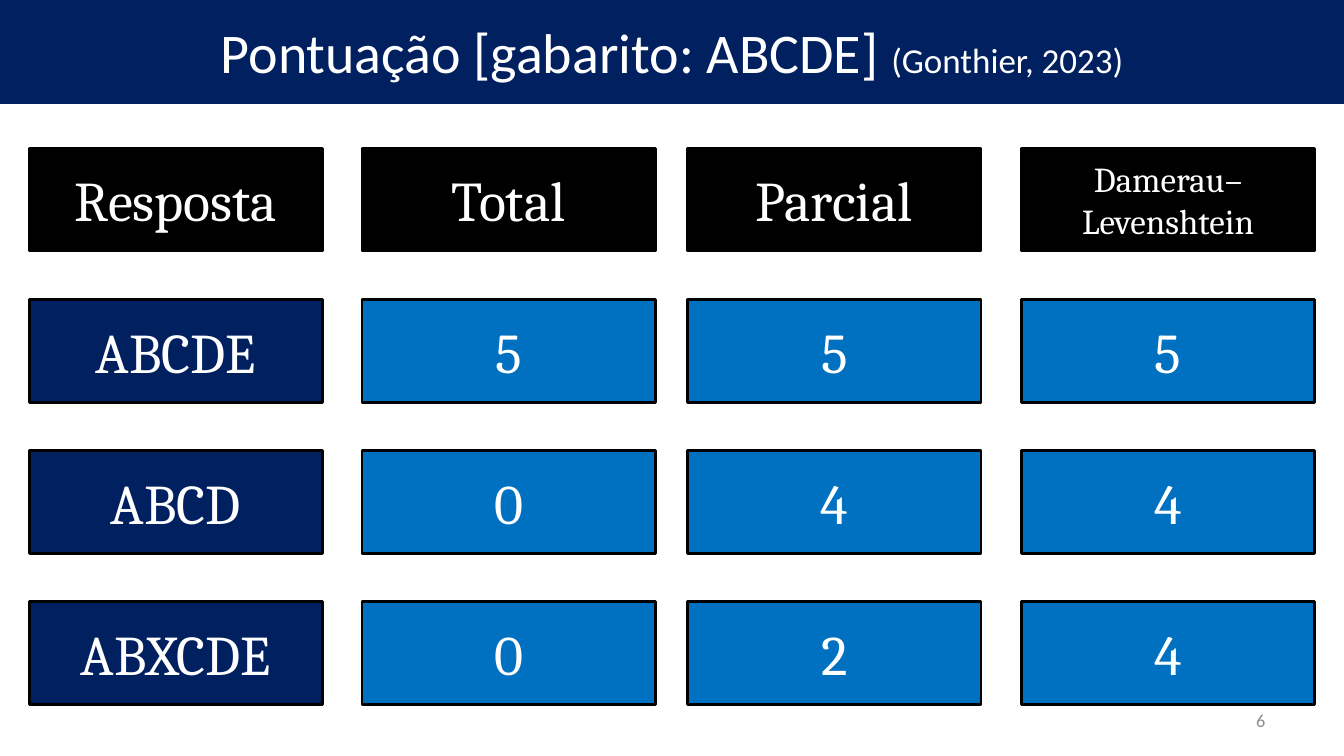
from dataclasses import dataclass

from pptx import Presentation
from pptx.dml.color import RGBColor
from pptx.enum.shapes import MSO_SHAPE
from pptx.enum.text import MSO_ANCHOR, PP_ALIGN
from pptx.util import Inches, Pt


@dataclass(frozen=True)
class Theme:
    navy: str = "002060"
    blue: str = "0070C0"
    black: str = "000000"
    white: str = "FFFFFF"
    gray: str = "8C8C8C"
    heading_font: str = "Calibri"
    card_font: str = "Cambria"
    large: int = 40
    medium: int = 25
    small: int = 13
    border: int = 2


THEME = Theme()
SLIDE_WIDTH, SLIDE_HEIGHT = 13.33, 7.5
COLUMN_LEFTS = (0.29, 3.59, 6.82, 10.13)
FIRST_ROW_TOP, ROW_PITCH = 1.47, 1.5
CARD_WIDTH, BAND_HEIGHT = 2.91, 1.02

HEADERS = ("Resposta", "Total", "Parcial", "Damerau–Levenshtein")
SCORES = (
    ("ABCDE", "5", "5", "5"),
    ("ABCD", "0", "4", "4"),
    ("ABXCDE", "0", "2", "4"),
)


def rgb(color):
    return RGBColor.from_string(color)


def style_paragraph(paragraph, font, size, color, alignment=PP_ALIGN.CENTER):
    paragraph.alignment = alignment
    paragraph.font.name = font
    paragraph.font.size = Pt(size)
    paragraph.font.color.rgb = rgb(color)


def add_block(slide, left, top, width, fill, border):
    """Add a bordered rectangle of band height and return its first paragraph."""
    block = slide.shapes.add_shape(
        MSO_SHAPE.RECTANGLE,
        Inches(left), Inches(top), Inches(width), Inches(BAND_HEIGHT),
    )
    block.shadow.inherit = False
    block.fill.solid()
    block.fill.fore_color.rgb = rgb(fill)
    block.line.color.rgb = rgb(border)
    block.line.width = Pt(THEME.border)
    block.text_frame.word_wrap = True
    block.text_frame.vertical_anchor = MSO_ANCHOR.MIDDLE
    return block.text_frame.paragraphs[0]


def add_title(slide, title, citation):
    heading = add_block(slide, 0, 0, SLIDE_WIDTH, THEME.navy, THEME.navy)
    style_paragraph(heading, THEME.heading_font, THEME.large, THEME.white)
    heading.add_run().text = title
    source = heading.add_run()
    source.text = citation
    source.font.size = Pt(THEME.medium)


def add_card(slide, column, row, label, fill, size=THEME.large):
    caption = add_block(
        slide, COLUMN_LEFTS[column], FIRST_ROW_TOP + row * ROW_PITCH,
        CARD_WIDTH, fill, THEME.black,
    )
    caption.text = label
    style_paragraph(caption, THEME.card_font, size, THEME.white)


def add_page_number(slide, number):
    footer = slide.shapes.add_textbox(
        Inches(9.55), Inches(6.95), Inches(3.11), Inches(0.4)
    ).text_frame
    footer.word_wrap = True
    footer.vertical_anchor = MSO_ANCHOR.MIDDLE
    footer.margin_left = footer.margin_right = Inches(0.11)
    footer.margin_top = footer.margin_bottom = Inches(0.06)
    footer.text = number
    style_paragraph(footer.paragraphs[0], THEME.heading_font, THEME.small,
                    THEME.gray, PP_ALIGN.RIGHT)


def main():
    deck = Presentation()
    deck.slide_width = Inches(SLIDE_WIDTH)
    deck.slide_height = Inches(SLIDE_HEIGHT)
    slide = deck.slides.add_slide(deck.slide_layouts[6])

    add_page_number(slide, "6")
    add_title(slide, "Pontuação [gabarito: ABCDE] ", "(Gonthier, 2023)")
    for column, header in enumerate(HEADERS):
        size = THEME.medium if len(header) > 10 else THEME.large
        add_card(slide, column, 0, header, THEME.black, size)
    for row, values in enumerate(SCORES, start=1):
        for column, value in enumerate(values):
            fill = THEME.navy if column == 0 else THEME.blue
            add_card(slide, column, row, value, fill)

    deck.save("out.pptx")


if __name__ == "__main__":
    main()
